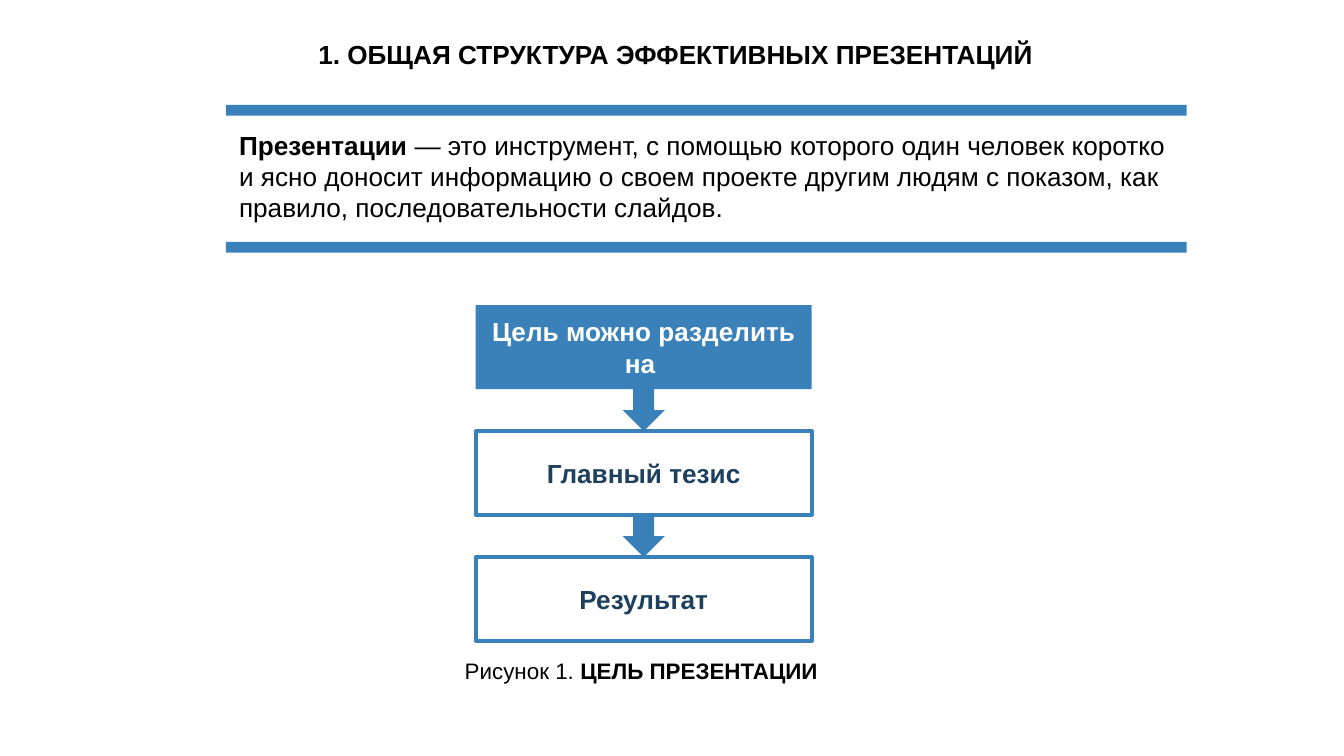
import pptx
import pptx.dml.color
import pptx.enum.shapes
import pptx.enum.text
import pptx.util

Inches = pptx.util.Inches
SHAPES = pptx.enum.shapes.MSO_SHAPE
COLORS = {"blue": "3A81BA", "navy": "1D405D", "black": "000000", "white": "FFFFFF"}


def rgb(name):
    return pptx.dml.color.RGBColor.from_string(COLORS[name])


def add_runs(paragraph, runs, size, color):
    for text, bold in runs:
        run = paragraph.add_run()
        run.text = text
        run.font.name = "Arial"
        run.font.size = pptx.util.Pt(size)
        run.font.bold = bold
        run.font.color.rgb = rgb(color)


def add_text(slide, left, top, width, height, runs, size=14, wrap=False):
    box = slide.shapes.add_textbox(Inches(left), Inches(top), Inches(width), Inches(height))
    frame = box.text_frame
    frame.word_wrap = wrap
    frame.auto_size = pptx.enum.text.MSO_AUTO_SIZE.SHAPE_TO_FIT_TEXT
    add_runs(frame.paragraphs[0], runs, size, "black")


def add_filled_shape(slide, kind, left, top, width, height):
    shape = slide.shapes.add_shape(
        kind, Inches(left), Inches(top), Inches(width), Inches(height))
    shape.shadow.inherit = False
    shape.fill.solid()
    shape.fill.fore_color.rgb = rgb("blue")
    shape.line.fill.background()
    return shape


def add_step(slide, left, top, width, height, text, filled):
    step = add_filled_shape(slide, SHAPES.RECTANGLE, left, top, width, height)
    if not filled:
        step.fill.background()
        step.line.color.rgb = rgb("blue")
        step.line.width = pptx.util.Pt(2)
    frame = step.text_frame
    frame.word_wrap = True
    frame.vertical_anchor = pptx.enum.text.MSO_ANCHOR.MIDDLE
    paragraph = frame.paragraphs[0]
    paragraph.alignment = pptx.enum.text.PP_ALIGN.CENTER
    add_runs(paragraph, [(text, True)], 14, "white" if filled else "navy")


def main():
    presentation = pptx.Presentation()
    presentation.slide_width = Inches(10)
    presentation.slide_height = Inches(10 * 9 / 16)
    slide = presentation.slides.add_slide(presentation.slide_layouts[6])

    # Title
    add_text(slide, 2.27, 0.24, 5.6, 0.34,
             [("1. ОБЩАЯ СТРУКТУРА ЭФФЕКТИВНЫХ ПРЕЗЕНТАЦИЙ", True)])

    # Flow from the goal to its parts
    left, top, width = 3.54, 2.27, 2.5
    height = width / 4
    gap = height / 2
    steps = ["Цель можно разделить на ", "Главный тезис", "Результат"]
    for index, text in enumerate(steps):
        step_top = top + index * (height + gap)
        add_step(slide, left, step_top, width, height, text, filled=index == 0)
        if index < len(steps) - 1:
            add_filled_shape(slide, SHAPES.DOWN_ARROW, left + (width - gap) / 2,
                             step_top + height, gap, gap)

    # Caption
    add_text(slide, 3.36, 4.84, 2.86, 0.3,
             [("Рисунок 1. ", False), ("ЦЕЛЬ ПРЕЗЕНТАЦИИ", True)], size=12)

    # Definition between two bars
    add_text(slide, 1.68, 0.91, 7.19, 0.81, [
        ("Презентации ", True),
        ("— это инструмент, с помощью которого один человек коротко и ясно доносит "
         "информацию о своем проекте другим людям с показом, как правило, "
         "последовательности слайдов.", False),
    ], wrap=True)
    for bar_top in (0.78, 1.8):
        add_filled_shape(slide, SHAPES.RECTANGLE, 1.68, bar_top, 7.15, 0.08)

    presentation.save("out.pptx")


if __name__ == "__main__":
    main()
